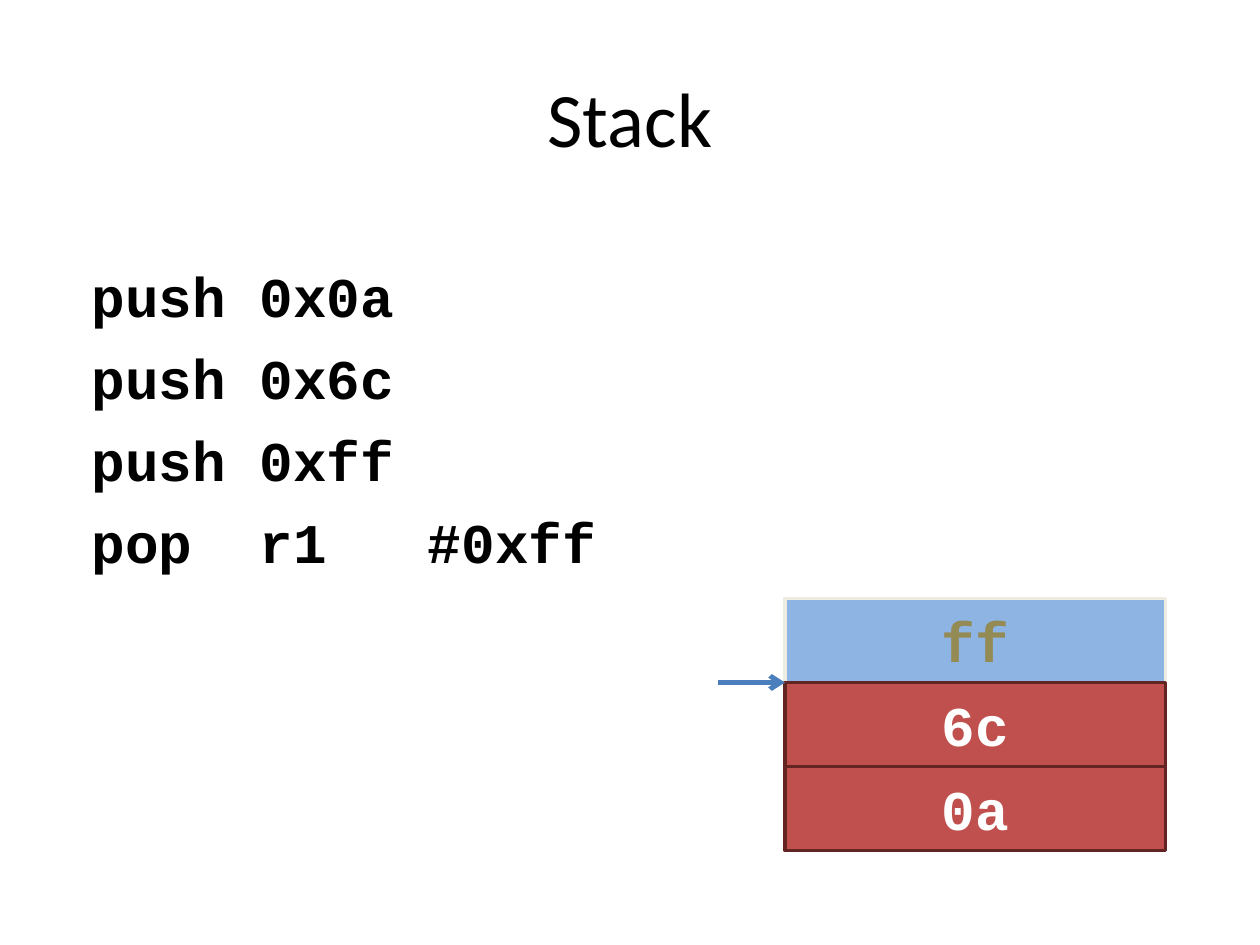
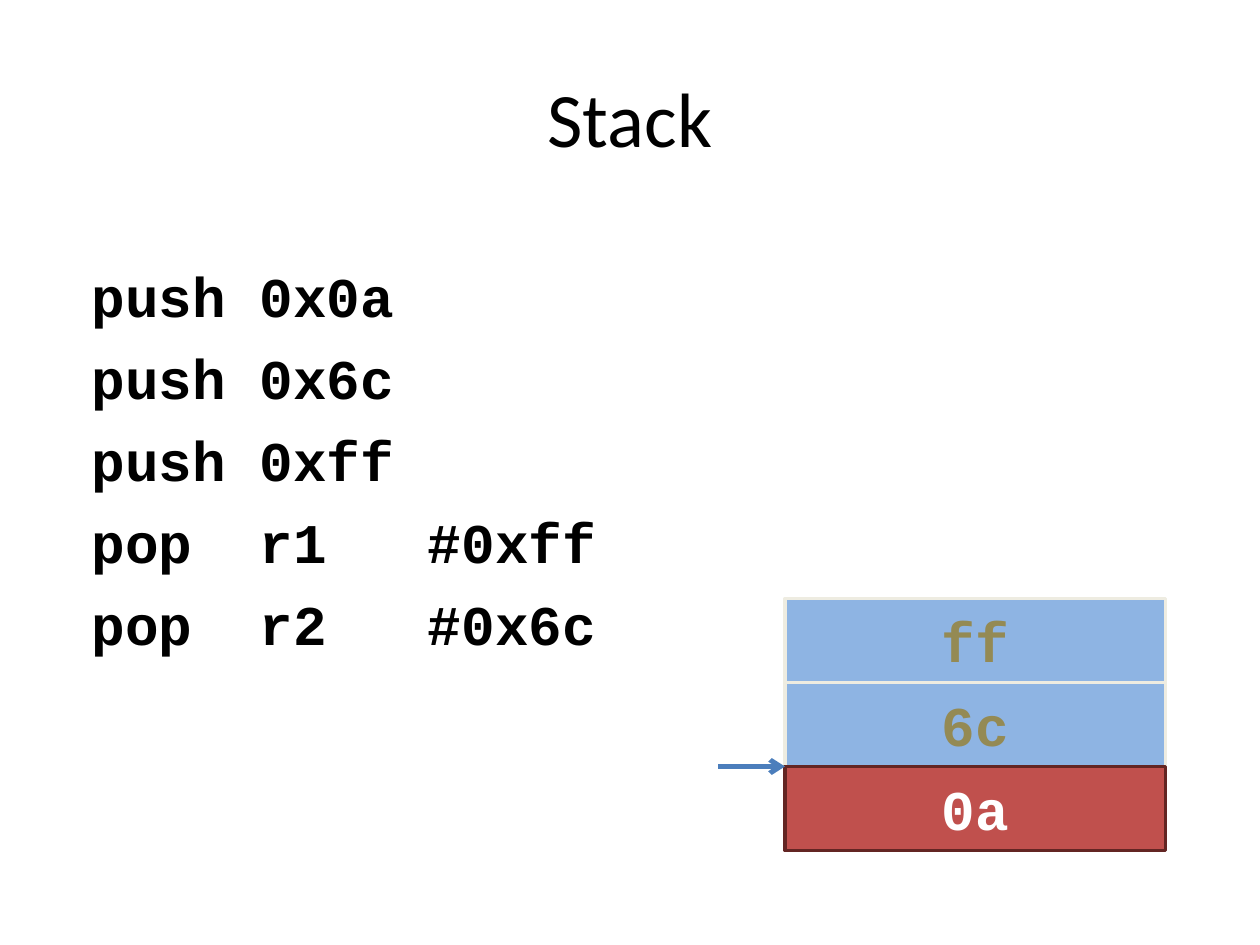
"""Build two slides that show a stack shrinking as values are popped."""
import pptx
import pptx.util
import pptx.dml.color
import pptx.enum.text
import pptx.enum.shapes
import lxml.etree

deck = pptx.Presentation()
deck.slide_width = pptx.util.Inches(10)
deck.slide_height = pptx.util.Inches(7.5)
wide, high = deck.slide_width, deck.slide_height

align = pptx.enum.text.PP_ALIGN
anchor = pptx.enum.text.MSO_ANCHOR
shapes = pptx.enum.shapes

title = {"name": "Calibri", "size": pptx.util.Pt(44), "bold": False}
code = {"name": "Courier New", "size": pptx.util.Pt(32), "bold": True}
live = {"fill": "C0504D", "line": "632523", "text": "FFFFFF"}
gone = {"fill": "8EB4E3", "line": "EEECE1", "text": "948A54"}

left, cell, row = wide * 0.623, wide * 0.302, high * 4 / 45
base = high * 0.9
tail = wide * 0.57
pushes = ["push 0x0a", "push 0x6c", "push 0xff"]
pops = ["pop  r1   #0xff", "pop  r2   #0x6c"]
values = ["0a", "6c", "ff"]


def paint(hue):
    return pptx.dml.color.RGBColor.from_string(hue)


def write(shape, lines, style, hue, side, place):
    frame = shape.text_frame
    frame.word_wrap = True
    frame.vertical_anchor = place
    for index, line in enumerate(lines):
        para = frame.paragraphs[0] if index == 0 else frame.add_paragraph()
        para.alignment = side
        para.space_before = pptx.util.Pt(8.5 if index else 0)
        run = para.add_run()
        run.text = line
        for key, value in style.items():
            setattr(run.font, key, value)
        run.font.color.rgb = paint(hue)


for count in (1, 2):
    slide = deck.slides.add_slide(deck.slide_layouts[6])
    head = slide.shapes.add_textbox(
        *map(int, (wide * 0.05, high * 0.04, wide * 0.9, high / 6)))
    write(head, ["Stack"], title, "000000", align.CENTER, anchor.MIDDLE)

    body = slide.shapes.add_textbox(
        *map(int, (wide * 0.063, high * 0.27, wide * 0.445, high * 0.66)))
    write(body, pushes + pops[:count], code, "000000", align.LEFT, anchor.TOP)

    kept = len(values) - count
    for level in reversed(range(len(values))):
        look = live if level < kept else gone
        box = slide.shapes.add_shape(
            shapes.MSO_SHAPE.RECTANGLE,
            *map(int, (left, base - (level + 1) * row, cell, row)))
        box.shadow.inherit = False
        box.fill.solid()
        box.fill.fore_color.rgb = paint(look["fill"])
        box.line.color.rgb = paint(look["line"])
        box.line.width = pptx.util.Pt(2)
        write(box, [values[level]], code, look["text"],
              align.CENTER, anchor.MIDDLE)

    top = base - kept * row
    arrow = slide.shapes.add_connector(
        shapes.MSO_CONNECTOR.STRAIGHT, *map(int, (tail, top, left, top)))
    arrow.line.color.rgb = paint("4B7EBC")
    arrow.line.width = pptx.util.Pt(2.75)
    space = "{http://schemas.openxmlformats.org/drawingml/2006/main}"
    props = arrow.element.spPr
    lxml.etree.SubElement(props.find(space + "ln"), space + "tailEnd",
                          type="arrow")
    lxml.etree.SubElement(props, space + "effectLst")

deck.save("out.pptx")
